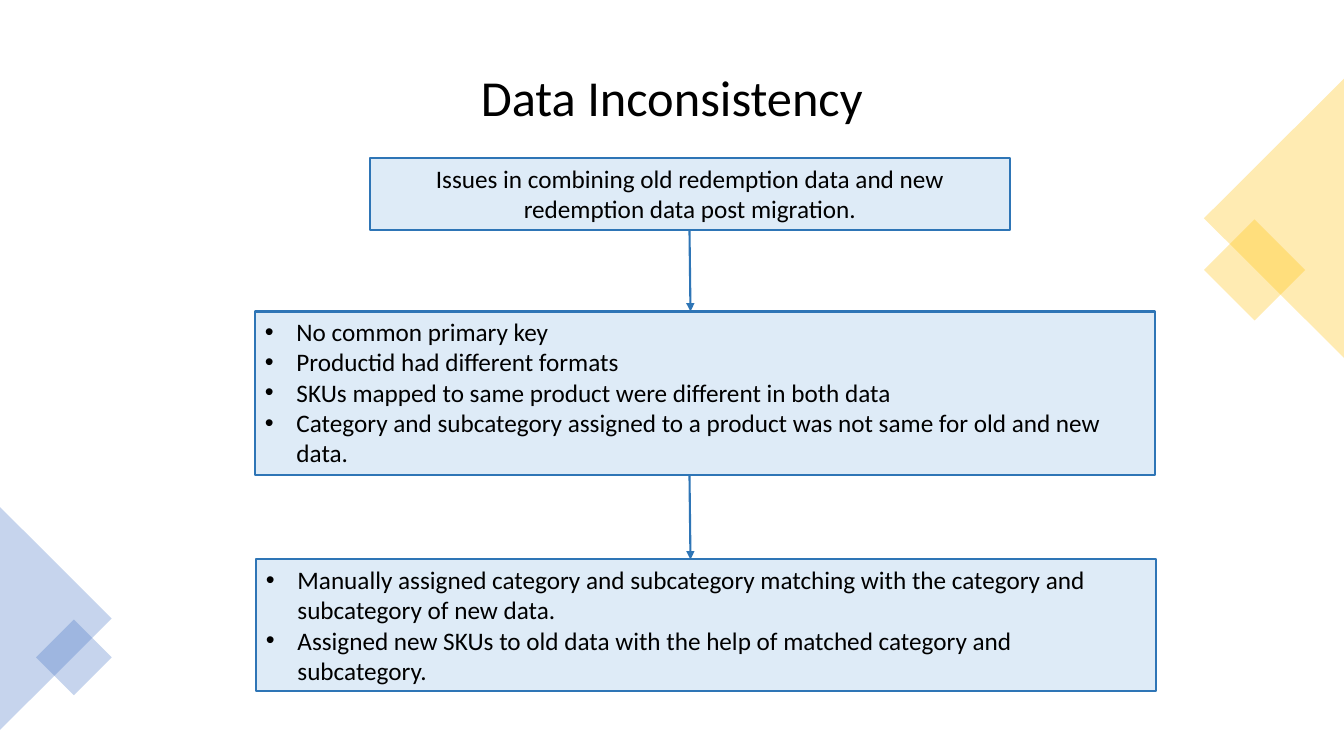
from collections import namedtuple
from dataclasses import dataclass
from math import sqrt

from lxml.etree import SubElement
from pptx import Presentation
from pptx.dml.color import RGBColor
from pptx.enum.shapes import MSO_CONNECTOR as Connector, MSO_SHAPE as Preset
from pptx.enum.text import MSO_ANCHOR as Anchor, MSO_AUTO_SIZE as AutoSize, PP_ALIGN as Align
from pptx.oxml.ns import qn
from pptx.util import Pt


@dataclass(frozen=True)
class Theme:
    text: str = "000000"
    panel: str = "DEEBF7"
    outline: str = "2E75B6"
    gold: str = "FFC000"
    blue: str = "4472C4"
    opacity: int = 30
    font: str = "Calibri"
    title_size: float = 36
    body_size: float = 18
    line_width: float = 1.5
    bullet_indent: float = 22.5


THEME = Theme()
Box = namedtuple("Box", "left top width height")

# All boxes are in points
TITLE_BOX = Box(50.4, 18.7, 859, 105.8)
ISSUE_BOX = Box(264.2, 113, 457.2, 51.1)
CAUSES_BOX = Box(182.2, 222.5, 643, 116.6)
FIXES_BOX = Box(182.9, 399.6, 643, 94.3)
GOLD_CORNER = Box(860, 56.2, 100, 199.4)
BLUE_CORNER = Box(0, 362.2, 79.8, 159.2)

ISSUE = ["Issues in combining old redemption data and new redemption data post migration."]
CAUSES = [
    "No common primary key",
    "Productid had different formats",
    "SKUs mapped to same product were different in both data",
    "Category and subcategory assigned to a product was not same for old and new data.",
]
FIXES = [
    "Manually assigned category and subcategory matching with the category and "
    "subcategory of new data.",
    "Assigned new SKUs to old data with the help of matched category and subcategory.",
]


def color(value):
    return RGBColor.from_string(value)


def to_points(box):
    return [Pt(value) for value in box]


def set_attributes(target, values):
    for name, value in values.items():
        setattr(target, name, value)


def add_bullet(paragraph):
    properties = paragraph._p.get_or_add_pPr()
    indent = Pt(THEME.bullet_indent)
    properties.set("marL", str(indent))
    properties.set("indent", str(-indent))
    SubElement(properties, qn("a:buFont"), typeface="Arial")
    SubElement(properties, qn("a:buChar"), char="•")


def write_text(frame, lines, size, paragraph_format, bulleted=False):
    frame.word_wrap = True
    for index, line in enumerate(lines):
        paragraph = frame.add_paragraph() if index else frame.paragraphs[0]
        set_attributes(paragraph, paragraph_format)
        if bulleted:
            add_bullet(paragraph)
        run = paragraph.add_run()
        run.text = line
        set_attributes(run.font, {"name": THEME.font, "size": Pt(size)})
        run.font.color.rgb = color(THEME.text)


def add_title(slide, box, text):
    frame = slide.shapes.add_textbox(*to_points(box)).text_frame
    frame.vertical_anchor = Anchor.MIDDLE
    write_text(frame, [text], THEME.title_size,
               {"alignment": Align.CENTER, "line_spacing": 0.9})


def add_panel(slide, box, lines, bulleted=False):
    shape = slide.shapes.add_shape(Preset.RECTANGLE, *to_points(box))
    shape.shadow.inherit = False
    shape.fill.solid()
    shape.fill.fore_color.rgb = color(THEME.panel)
    shape.line.color.rgb = color(THEME.outline)
    shape.line.width = Pt(THEME.line_width)
    set_attributes(shape.text_frame, {"vertical_anchor": Anchor.TOP,
                                      "auto_size": AutoSize.SHAPE_TO_FIT_TEXT})
    write_text(shape.text_frame, lines, THEME.body_size,
               {"alignment": Align.LEFT if bulleted else Align.CENTER}, bulleted)


def add_arrow(slide, upper, lower, x):
    start = Pt(x), Pt(upper.top + upper.height)
    end = Pt(x + 0.7), Pt(lower.top)
    arrow = slide.shapes.add_connector(Connector.STRAIGHT, *start, *end)
    arrow.line.color.rgb = color(THEME.outline)
    arrow.line.width = Pt(THEME.line_width)
    SubElement(arrow.line._ln, qn("a:tailEnd"), type="triangle")
    SubElement(arrow._element.spPr, qn("a:effectLst"))


def add_tint(slide, preset, center_x, center_y, width, height, rotation, fill):
    box = Box(center_x - width / 2, center_y - height / 2, width, height)
    shape = slide.shapes.add_shape(preset, *to_points(box))
    shape.rotation = rotation
    shape.shadow.inherit = False
    shape.line.fill.background()
    shape.fill.solid()
    shape.fill.fore_color.rgb = color(fill)
    value = shape.fill._xPr.find(qn("a:solidFill"))[0]
    SubElement(value, qn("a:alpha"), val=str(THEME.opacity * 1000))


def add_corner(slide, box, fill, diamond_side, points_left):
    """Triangle filling the box, with a diamond just below its tip."""
    center_x, center_y = box.left + box.width / 2, box.top + box.height / 2
    add_tint(slide, Preset.ISOSCELES_TRIANGLE, center_x, center_y,
             box.height, box.width, 270 if points_left else 90, fill)
    reach = diamond_side / sqrt(2)
    diamond_x = box.left + reach if points_left else box.left + box.width - reach
    add_tint(slide, Preset.RECTANGLE, diamond_x, center_y + reach + 0.8,
             diamond_side, diamond_side, 45, fill)


def add_flow(slide, stages, arrow_x):
    for box, lines, bulleted in stages:
        add_panel(slide, box, lines, bulleted)
    for (upper, *_), (lower, *_) in zip(stages, stages[1:]):
        add_arrow(slide, upper, lower, arrow_x)


def main():
    presentation = Presentation()
    set_attributes(presentation, {"slide_width": Pt(960), "slide_height": Pt(540)})
    slide = presentation.slides.add_slide(presentation.slide_layouts[6])

    # Heading and corner decoration
    add_title(slide, TITLE_BOX, "Data Inconsistency")
    add_corner(slide, GOLD_CORNER, THEME.gold, 51.1, points_left=True)
    add_corner(slide, BLUE_CORNER, THEME.blue, 38.2, points_left=False)

    # Issue, its causes and the fixes
    add_flow(slide, [(ISSUE_BOX, ISSUE, False), (CAUSES_BOX, CAUSES, True),
                     (FIXES_BOX, FIXES, True)], arrow_x=492.5)
    presentation.save("out.pptx")


if __name__ == "__main__":
    main()
